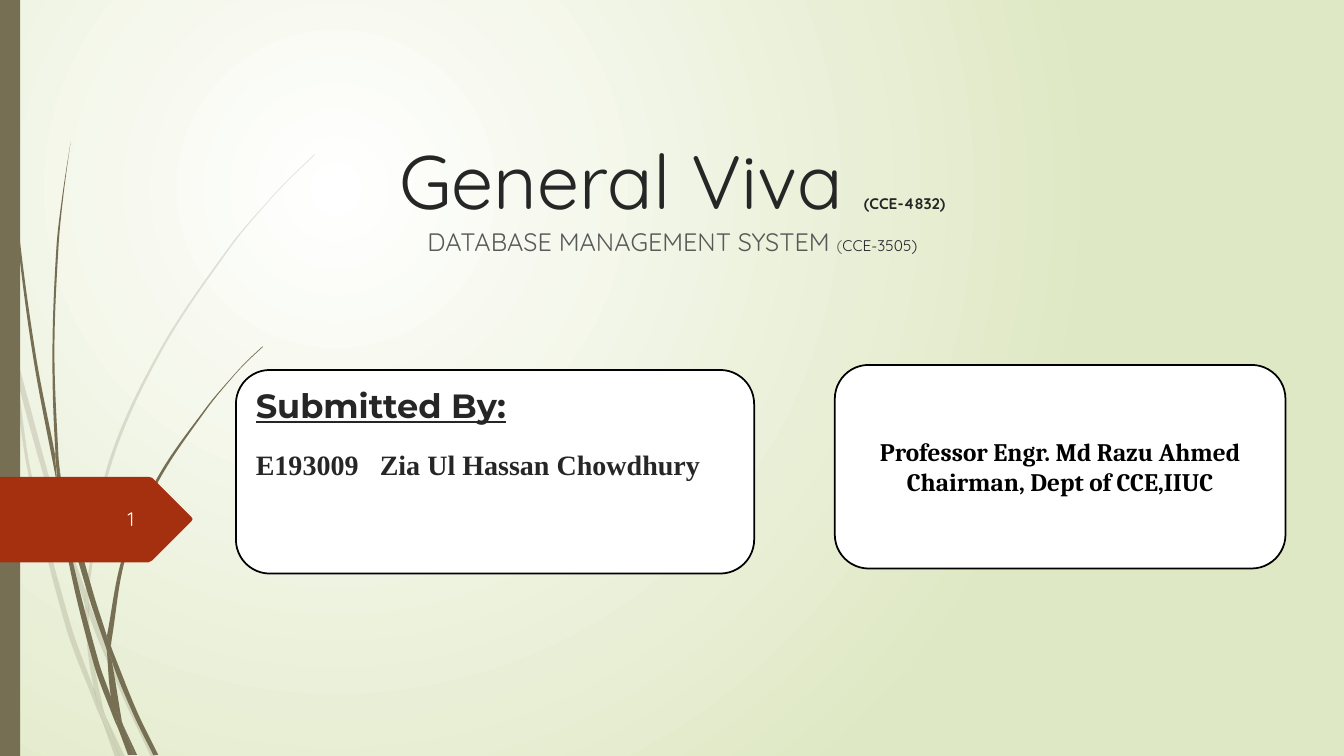
import math
import pptx
import pptx.dml.color
import pptx.enum.shapes
import pptx.enum.text
import pptx.oxml.ns
import pptx.util
from dataclasses import dataclass
from lxml import etree

COLUMNS, ROWS = 13.33, 7.5
ALIGN = pptx.enum.text.PP_ALIGN
ANCHOR = pptx.enum.text.MSO_ANCHOR
SHAPES = pptx.enum.shapes.MSO_SHAPE
qn = pptx.oxml.ns.qn


@dataclass(frozen=True)
class Theme:
    glow: str = "FFFFFF"
    meadow: str = "DFE8C4"
    bark: str = "766F54"
    rust: str = "A53010"
    card: str = "FFFFFF"
    black: str = "000000"
    ink: str = "262626"
    muted: str = "595959"
    code_ink: str = "212529"
    number_ink: str = "FEFFFF"
    display: str = "Quicksand"
    heading: str = "Montserrat"
    serif: str = "Cambria"
    roman: str = "Times New Roman"
    title_size: int = 54
    heading_size: int = 24
    student_size: int = 20
    body_size: int = 18
    number_size: int = 14
    code_size: int = 11


def color(value):
    return pptx.dml.color.RGBColor.from_string(value)


def add_xml(parent, tag, **attributes):
    return etree.SubElement(parent, qn(tag), attributes)


def write(paragraph, text, *, font, size, ink, bold=False, underline=False):
    """Add one formatted run to a paragraph."""
    run = paragraph.add_run()
    run.text = text
    run.font.name, run.font.size = font, pptx.util.Pt(size)
    run.font.color.rgb = color(ink)
    run.font.bold, run.font.underline = bold, underline


def curve_points(edge):
    """Give two handles and an end point for each span of a smooth edge."""
    ends = [edge[0], *edge, edge[-1]]
    slopes = [math.atan2(c[1] - a[1], c[0] - a[0]) for a, c in zip(ends, ends[2:])]
    points = []
    for (x1, y1), (x2, y2), s1, s2 in zip(edge, edge[1:], slopes, slopes[1:]):
        reach = math.dist((x1, y1), (x2, y2)) / 3
        points += [(x1 + reach * math.cos(s1), y1 + reach * math.sin(s1)),
                   (x2 - reach * math.cos(s2), y2 - reach * math.sin(s2)), (x2, y2)]
    return points


class Painter:
    def __init__(self, deck, theme):
        self.theme = theme
        self.slide = deck.slides.add_slide(deck.slide_layouts[6])
        self.cell_width = deck.slide_width / COLUMNS
        self.cell_height = deck.slide_height / ROWS

    def place(self, column, row):
        return round(column * self.cell_width), round(row * self.cell_height)

    def box(self, column, row, columns, rows):
        return *self.place(column, row), *self.place(columns, rows)

    def background(self):
        fill = self.slide.background.fill
        fill.gradient()
        for stop, tone in zip(fill.gradient_stops, (self.theme.glow, self.theme.meadow)):
            stop.color.rgb = color(tone)
        gradient = self.slide.background._cSld.find(".//" + qn("a:gradFill"))
        gradient.remove(gradient.find(qn("a:lin")))
        circle = add_xml(gradient, "a:path", path="circle")
        add_xml(circle, "a:fillToRect", l="50000", t="50000", r="100000", b="100000")

    def paint(self, shape, fill, outline=None, opacity=100):
        shape.shadow.inherit = False
        shape.fill.solid()
        shape.fill.fore_color.rgb = color(fill)
        if opacity < 100:
            tone = shape._element.spPr.find(".//" + qn("a:srgbClr"))
            add_xml(tone, "a:alpha", val=str(opacity * 1000))
        if outline:
            shape.line.color.rgb = color(outline)
            shape.line.width = pptx.util.Pt(1.25)
        else:
            shape.line.fill.background()
        return shape

    def outline(self, shapes, points, fill, opacity=100):
        start, *others = [self.place(*point) for point in points]
        builder = shapes.build_freeform(*start)
        builder.add_line_segments(others, close=True)
        return self.paint(builder.convert_to_shape(), fill, opacity=opacity)

    def blade(self, shapes, near, far, opacity):
        """Draw a piece of grass between two smooth edges."""
        join = [near[-1], far[0], far[0]] if near[-1] != far[0] else []
        points = [near[0], *curve_points(near), *join, *curve_points(far)]
        piece = self.outline(shapes, points, self.theme.bark, opacity)
        lines = list(piece._element.iter(qn("a:lnTo")))
        for trio in zip(lines[::3], lines[1::3], lines[2::3]):
            bend = etree.Element(qn("a:cubicBezTo"))
            trio[0].addprevious(bend)
            for line in trio:
                bend.append(line[0])
                line.getparent().remove(line)

    def grass(self, pieces, opacity):
        tuft = self.slide.shapes.add_group_shape()
        for near, far in pieces:
            self.blade(tuft.shapes, near, far, opacity)

    def panel(self, kind, area, fill, outline=None):
        return self.paint(self.slide.shapes.add_shape(kind, *self.box(*area)), fill, outline)

    def text_box(self, area, anchor):
        return self.frame(self.slide.shapes.add_textbox(*self.box(*area)), anchor)

    def frame(self, holder, anchor):
        holder.text_frame.word_wrap = True
        holder.text_frame.vertical_anchor = anchor
        return holder.text_frame

    def paragraph(self, frame, align, before=0, after=0):
        first = frame.paragraphs[0]
        paragraph = frame.add_paragraph() if first.runs else first
        paragraph.alignment = align
        paragraph.space_before = pptx.util.Pt(before)
        paragraph.space_after = pptx.util.Pt(after)
        return paragraph


# Each piece of grass: the (column, row) points of its two edges
FAINT_GRASS = [
    ([(.11, 3.5), (.09, 3.22), (0, 2.82)], [(0, 2.99), (.1, 3.44), (.11, 3.5)]),
    ([(.14, 3.45), (.17, 3.76), (.58, 5.22), (.84, 5.99)], [(.85, 5.86), (.62, 5.2), (.14, 3.45)]),
    ([(.88, 5.96), (.88, 6.1), (1.23, 6.94), (1.5, 7.51)], [(1.55, 7.51), (1.27, 6.92), (.92, 6.07), (.88, 5.96)]),
    ([(1.19, 7.51), (1.24, 7.51)], [(1.05, 7.11), (1.19, 7.51)]),
    ([(.93, 6.83), (.7, 6.19), (.31, 4.69), (.17, 3.76), (.11, 3.5)],
     [(.11, 3.5), (.28, 4.7), (.65, 6.21), (.92, 6.93), (1.01, 7.14), (.99, 7.07), (.93, 6.83)]),
    ([(.84, 5.99), (.87, 6.46), (.93, 6.83), (.96, 6.92), (1.05, 7.11)],
     [(1.05, 7.11), (1.03, 7.06), (.91, 6.46), (.88, 6.1), (.88, 6.08), (.84, 5.99)]),
    ([(.88, 5.96), (.88, 5.84), (1.1, 4.62), (1.6, 3.49), (2.29, 2.45), (2.68, 1.98), (2.9, 1.75), (3.12, 1.54)],
     [(3.12, 1.53), (2.89, 1.75), (2.68, 1.97), (2.28, 2.44), (1.58, 3.48), (1.07, 4.61), (.85, 5.84), (.85, 5.86)]),
    ([(1.01, 7.14), (1.14, 7.51)], [(1.19, 7.51), (1.01, 7.14)]),
    ([(.88, 6.08), (.88, 6.1), (.88, 5.96)], [(.85, 5.86), (.84, 5.99), (.88, 6.08)]),
    ([(.96, 6.92), (.93, 6.83), (.99, 7.07), (1.01, 7.14), (1.19, 7.51)], [(1.19, 7.51), (1.05, 7.11), (.96, 6.92)]),
]
DARK_GRASS = [
    ([(.03, 0), (.04, .48), (.07, 1.1), (.17, 2.33), (.33, 3.55), (.56, 4.77), (.57, 4.81)],
     [(.57, 4.81), (.55, 4.57), (.55, 4.53), (.36, 3.55), (.19, 2.32), (.08, 1.09), (.05, .48), (.04, 0)]),
    ([(.6, 4.72), (.64, 5.05), (.88, 5.92), (1.06, 6.45)], [(1.06, 6.33), (1.06, 6.31), (.93, 5.9), (.6, 4.72)]),
    ([(1.1, 6.41), (1.11, 6.56), (1.32, 7.08), (1.52, 7.49)], [(1.57, 7.49), (1.36, 7.06), (1.13, 6.49), (1.1, 6.41)]),
    ([(1.1, 6.91), (.98, 6.57), (.72, 5.56), (.64, 5.05), (.57, 4.77)],
     [(.57, 4.77), (.68, 5.57), (.93, 6.59), (1.11, 7.08), (1.17, 7.22), (1.16, 7.17), (1.1, 6.91)]),
    ([(.6, 4.72), (.58, 4.53), (.54, 3.49), (.58, 2.45), (.63, 1.93), (.7, 1.41)],
     [(.7, 1.41), (.62, 1.93), (.56, 2.45), (.52, 3.49), (.55, 4.49), (.6, 4.72)]),
    ([(1.33, 7.49), (1.36, 7.49)], [(1.22, 7.19), (1.33, 7.49)]),
    ([(.57, 4.77), (.64, 5.05), (.6, 4.72)], [(.6, 4.72), (.55, 4.49), (.55, 4.53), (.57, 4.77)]),
    ([(1.1, 6.41), (1.11, 6.33), (1.25, 5.52), (1.58, 4.76), (2.05, 4.06), (2.31, 3.74), (2.45, 3.59), (2.61, 3.44)],
     [(2.6, 3.44), (2.45, 3.58), (2.31, 3.73), (2.04, 4.05), (1.56, 4.74), (1.22, 5.51), (1.06, 6.31)]),
    ([(1.17, 7.22), (1.27, 7.49)], [(1.31, 7.49), (1.17, 7.22)]),
    ([(1.06, 6.45), (1.1, 6.91), (1.16, 7.06), (1.22, 7.19)],
     [(1.22, 7.19), (1.21, 7.16), (1.11, 6.56), (1.09, 6.51), (1.06, 6.45)]),
    ([(1.06, 6.45), (1.09, 6.51), (1.11, 6.56)], [(1.1, 6.41), (1.06, 6.31), (1.06, 6.33), (1.06, 6.45)]),
    ([(1.16, 7.06), (1.1, 6.91), (1.16, 7.17), (1.17, 7.22), (1.3, 7.49)], [(1.33, 7.49), (1.22, 7.19), (1.16, 7.06)]),
]
NUMBER_TAG = [(0, 4.73), (1.47, 4.73), (1.51, 4.74), (1.9, 5.13), (1.91, 5.15),
              (1.9, 5.17), (1.51, 5.56), (1.47, 5.58), (0, 5.58)]


def main():
    deck = pptx.Presentation()
    deck.slide_width, deck.slide_height = pptx.util.Inches(COLUMNS), pptx.util.Inches(ROWS)
    theme = Theme()
    painter = Painter(deck, theme)
    # Backdrop: gradient, grass, side bar and number tag
    painter.background()
    painter.grass(FAINT_GRASS, 20)
    painter.grass(DARK_GRASS, 100)
    painter.panel(SHAPES.RECTANGLE, (0, 0, .2, ROWS), theme.bark)
    painter.outline(painter.slide.shapes, NUMBER_TAG, theme.rust)
    # Title and subtitle
    title = painter.paragraph(painter.text_box((1.67, .74, 10, 1.54), ANCHOR.BOTTOM), ALIGN.CENTER)
    write(title, "General Viva ", font=theme.display, size=theme.title_size, ink=theme.ink)
    write(title, "(CCE-4832)", font=theme.display, size=theme.code_size, ink=theme.ink, bold=True)
    subtitle = painter.paragraph(painter.text_box((1.67, 2.2, 10, .63), ANCHOR.TOP), ALIGN.CENTER, before=10)
    for text, size, ink in (("DATABASE MANAGEMENT SYSTEM ", theme.body_size, theme.muted),
                            ("(", theme.code_size, theme.muted), ("CCE-3505)", theme.code_size, theme.code_ink)):
        write(subtitle, text, font=theme.display, size=size, ink=ink)
    # Slide number
    number = painter.paragraph(painter.text_box((.58, 4.95, .85, .4), ANCHOR.MIDDLE), ALIGN.RIGHT)
    write(number, "1", font=theme.display, size=theme.number_size, ink=theme.number_ink)
    # Professor card
    card = painter.panel(SHAPES.ROUNDED_RECTANGLE, (8.28, 3.62, 4.47, 2.02), theme.card, theme.black)
    professor = painter.frame(card, ANCHOR.MIDDLE)
    for text in ("Professor Engr. Md Razu Ahmed", "Chairman, Dept of CCE,IIUC"):
        write(painter.paragraph(professor, ALIGN.CENTER), text, font=theme.serif,
              size=theme.body_size, ink=theme.black, bold=True)
    # Student card
    card = painter.panel(SHAPES.ROUNDED_RECTANGLE, (2.34, 3.67, 5.14, 2.02), theme.card, theme.black)
    submitter = painter.frame(card, ANCHOR.TOP)
    write(painter.paragraph(submitter, ALIGN.JUSTIFY, before=10.2, after=8), "Submitted By:",
          font=theme.heading, size=theme.heading_size, ink=theme.ink, bold=True, underline=True)
    student = painter.paragraph(submitter, ALIGN.JUSTIFY, before=7.7, after=8)
    tabs = add_xml(student._p.get_or_add_pPr(), "a:tabLst")
    add_xml(tabs, "a:tab", pos=str(pptx.util.Inches(1.23)), algn="l")
    write(student, "E193009\tZia Ul Hassan Chowdhury", font=theme.roman,
          size=theme.student_size, ink=theme.ink, bold=True)
    deck.save("out.pptx")


if __name__ == "__main__":
    main()
